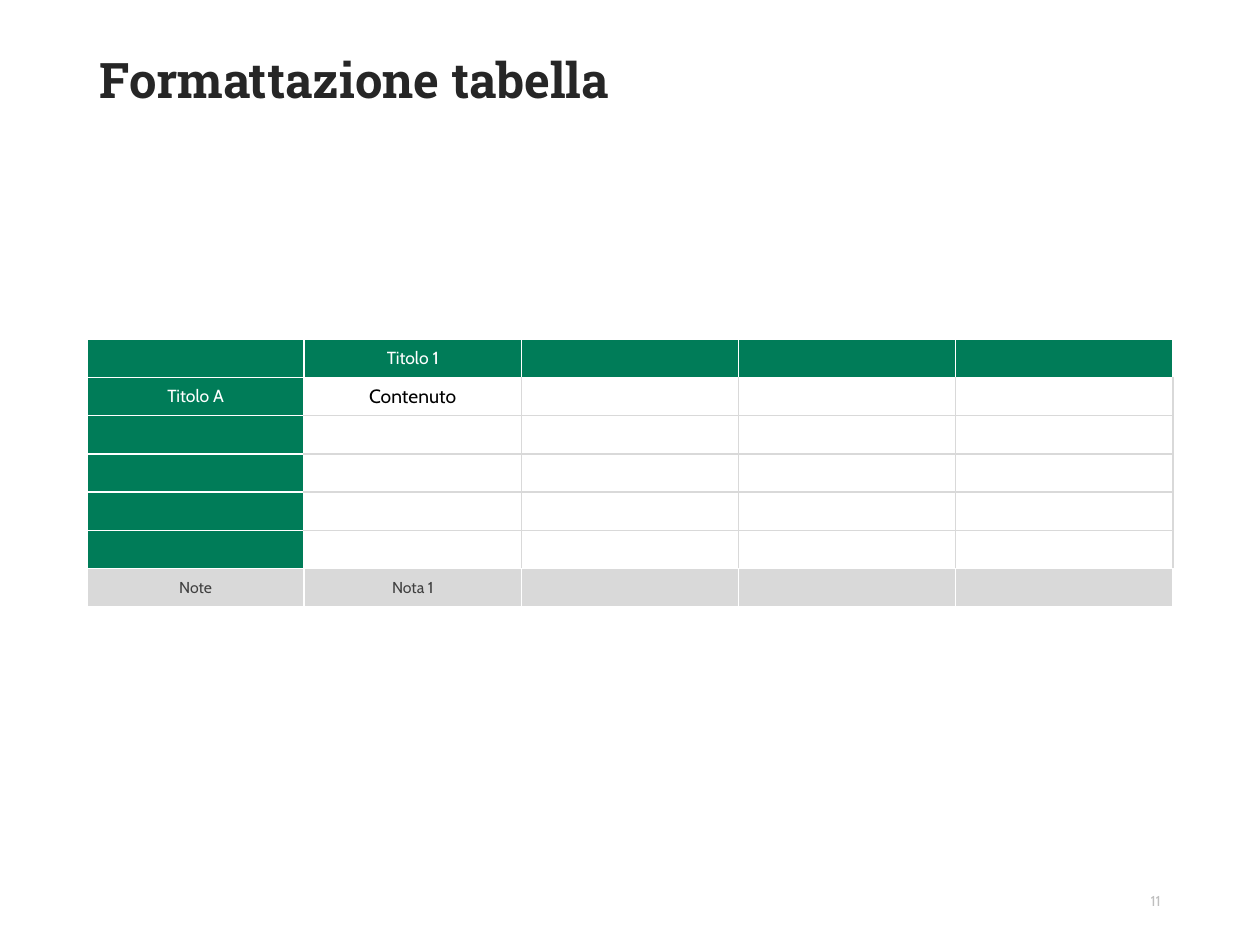
import pptx
import pptx.dml.color
import pptx.enum.text
import pptx.oxml
import pptx.oxml.ns
import pptx.util
from lxml import etree

Inches, Pt = pptx.util.Inches, pptx.util.Pt
RGBColor = pptx.dml.color.RGBColor
ALIGN, ANCHOR = pptx.enum.text.PP_ALIGN, pptx.enum.text.MSO_ANCHOR
qn = pptx.oxml.ns.qn

GREEN = RGBColor(0x00, 0x7C, 0x58)
WHITE = RGBColor(0xFF, 0xFF, 0xFF)
BLACK = RGBColor(0x00, 0x00, 0x00)
INK = RGBColor(0x26, 0x26, 0x26)
NOTE_INK = RGBColor(0x40, 0x40, 0x40)
LIGHT = RGBColor(0xD9, 0xD9, 0xD9)
PALE = RGBColor(0xBF, 0xBF, 0xBF)

ROWS, COLS = 7, 5
LEFT, WIDTH = 0.69, 8.62
TABLE_TEXT = {
    (0, 1): "Titolo 1",
    (1, 0): "Titolo A",
    (1, 1): "Contenuto",
    (6, 0): "Note",
    (6, 1): "Nota 1",
}
HEADER = {"fill": GREEN, "color": WHITE, "size": 10}
BODY = {"fill": WHITE, "color": BLACK, "size": 11}
NOTES = {"fill": LIGHT, "color": NOTE_INK, "size": 9}


def write(p, text, color, **font):
    r = p.add_run()
    r.text = text
    r.font.color.rgb = color
    for name, value in font.items():
        setattr(r.font, name, value)


def add_text(slide, box, text, color, anchor, align, spacing=1.0, **font):
    tf = slide.shapes.add_textbox(*map(Inches, box)).text_frame
    tf.word_wrap = True
    tf.vertical_anchor = anchor
    p = tf.paragraphs[0]
    p.alignment = align
    p.line_spacing = spacing
    write(p, text, color, **font)


def cell_style(row, col):
    if row == ROWS - 1:
        return NOTES
    return HEADER if row == 0 or col == 0 else BODY


def border_colors(row, col):
    """Grey lines inside the body; white against headings and notes."""
    if cell_style(row, col) is not BODY:
        return dict.fromkeys("LRTB", WHITE)
    return {
        "L": WHITE if col == 1 else LIGHT,
        "R": LIGHT,
        "T": WHITE if row == 1 else LIGHT,
        "B": WHITE if row == ROWS - 2 else LIGHT,
    }


def set_borders(cell, colors):
    tc_pr = cell._tc.get_or_add_tcPr()
    for side, color in colors.items():
        ln = etree.SubElement(tc_pr, qn(f"a:ln{side}"), w=str(Pt(0.96)))
        fill = etree.SubElement(ln, qn("a:solidFill"))
        etree.SubElement(fill, qn("a:srgbClr"), val=str(color))


def fill_cell(cell, text, style, borders):
    set_borders(cell, borders)
    cell.fill.solid()
    cell.fill.fore_color.rgb = style["fill"]
    cell.vertical_anchor = ANCHOR.MIDDLE
    cell.margin_left = cell.margin_right = Inches(0.07)
    cell.margin_top = cell.margin_bottom = Inches(0.05)
    p = cell.text_frame.paragraphs[0]
    p.alignment = ALIGN.CENTER
    if text:
        write(p, text, style["color"], name="Cabin", size=Pt(style["size"]))
    else:
        # A small end mark keeps an empty row from growing.
        etree.SubElement(p._p, qn("a:endParaRPr"), sz=str(style["size"] * 100))


def add_grid(slide):
    box = map(Inches, (LEFT, 2.69, WIDTH, 2.13))
    table = slide.shapes.add_table(ROWS, COLS, *box).table
    for row in range(ROWS):
        for col in range(COLS):
            fill_cell(table.cell(row, col), TABLE_TEXT.get((row, col)),
                      cell_style(row, col), border_colors(row, col))


def main():
    prs = pptx.Presentation()
    prs.slide_width, prs.slide_height = Inches(10), Inches(7.5)
    s = prs.slides.add_slide(prs.slide_layouts[6])
    add_text(s, (LEFT, 0.4, WIDTH, 1.08), "Formattazione tabella", INK,
             ANCHOR.TOP, ALIGN.LEFT, spacing=0.9,
             name="Roboto Slab", size=Pt(28), bold=True)
    add_grid(s)
    add_text(s, (7.06, 6.95, 2.25, 0.4), "11", PALE,
             ANCHOR.MIDDLE, ALIGN.RIGHT, name="Cabin", size=Pt(8.2))
    prs.save("out.pptx")


if __name__ == "__main__":
    main()
